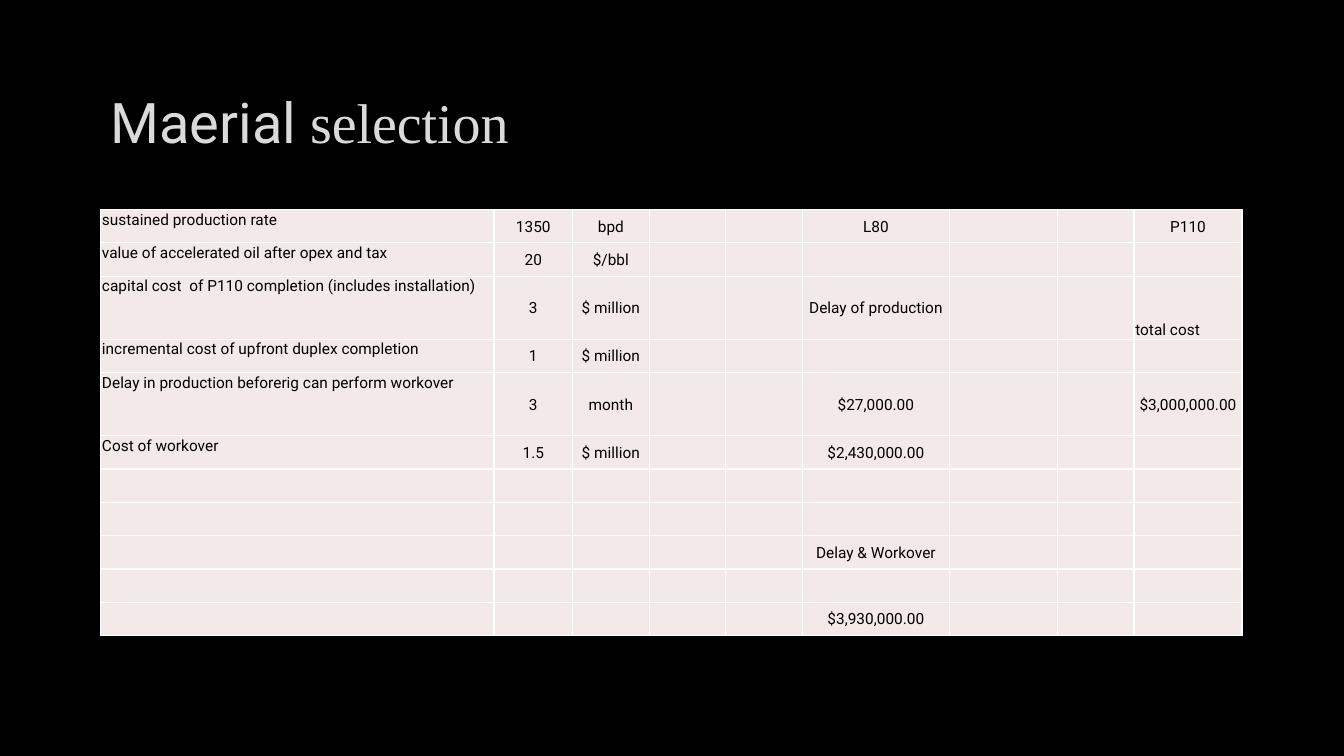
from lxml import etree
from pptx import Presentation
from pptx.dml.color import RGBColor
from pptx.enum.text import MSO_ANCHOR as ANCHOR, PP_ALIGN as ALIGN
from pptx.oxml.ns import qn
from pptx.util import Cm, Pt

# Content
TITLE = [("Maerial ", "Roboto"), ("selection", "Times New Roman")]
INPUTS = [
    ("sustained production rate", "1350", "bpd"),
    ("value of accelerated oil after opex and tax", "20", "$/bbl"),
    ("capital cost  of P110 completion (includes installation)", "3", "$ million"),
    ("incremental cost of upfront duplex completion", "1", "$ million"),
    ("Delay in production beforerig can perform workover", "3", "month"),
    ("Cost of workover", "1.5", "$ million"),
]
L80 = {0: "L80", 2: "Delay of production", 4: "$27,000.00",
       5: "$2,430,000.00", 8: "Delay & Workover", 10: "$3,930,000.00"}
P110 = {0: "P110", 2: "total cost", 4: "$3,000,000.00"}
L80_COL, P110_COL = 5, 8

# Style and sizes in centimetres
COLORS = {"background": "000000", "title": "DADADA", "text": "000000",
          "cell": "F3E9E8", "border": "FFFFFF"}
COL_WIDTHS = [9.91, 1.98, 1.93, 1.93, 1.93, 3.71, 2.72, 1.93, 2.72]
ROW_COUNT, ROW_HEIGHT, TALL_HEIGHT = 11, 0.84, 1.59
TALL_ROWS = (2, 4)
LEFT, WIDTH = 2.54, 28.76


def rgb(name):
    return RGBColor.from_string(COLORS[name])


def add_run(p, text, font, size, color):
    r = p.add_run()
    r.text = text
    r.font.name, r.font.size = font, Pt(size)
    r.font.color.rgb = rgb(color)


def set_borders(cell):
    tc_pr = cell._tc.get_or_add_tcPr()
    for i, side in enumerate(("lnL", "lnR", "lnT", "lnB")):
        ln = etree.Element(qn("a:" + side), w=str(Pt(1)))
        fill = etree.SubElement(ln, qn("a:solidFill"))
        etree.SubElement(fill, qn("a:srgbClr"), val=COLORS["border"])
        tc_pr.insert(i, ln)


def fill_cell(cell, text, align, anchor):
    cell.fill.solid()
    cell.fill.fore_color.rgb = rgb("cell")
    set_borders(cell)
    cell.margin_left = cell.margin_right = cell.margin_top = Cm(0.03)
    cell.margin_bottom = 0
    cell.vertical_anchor = anchor
    p = cell.text_frame.paragraphs[0]
    p.alignment = align
    if text:
        add_run(p, text, "Roboto", 11, "text")
    else:
        etree.SubElement(p._p, qn("a:endParaRPr"), sz="1100")


prs = Presentation()
prs.slide_width, prs.slide_height = Cm(33.87), Cm(19.05)
s = prs.slides.add_slide(prs.slide_layouts[6])
s.background.fill.solid()
s.background.fill.fore_color.rgb = rgb("background")

# Title
tf = s.shapes.add_textbox(Cm(LEFT), Cm(1.7), Cm(WIDTH), Cm(2.7)).text_frame
tf.word_wrap = True
tf.vertical_anchor = ANCHOR.MIDDLE
for text, font in TITLE:
    add_run(tf.paragraphs[0], text, font, 40, "title")

# Table
heights = [TALL_HEIGHT if i in TALL_ROWS else ROW_HEIGHT for i in range(ROW_COUNT)]
table = s.shapes.add_table(ROW_COUNT, len(COL_WIDTHS), Cm(LEFT), Cm(5.28),
                           Cm(WIDTH), Cm(sum(heights))).table
table.first_row = table.horz_banding = False
for column, width in zip(table.columns, COL_WIDTHS):
    column.width = Cm(width)
for row, height in zip(table.rows, heights):
    row.height = Cm(height)

# Cells: labels top left, figures centred, "total cost" bottom left
texts = {(i, j): text for i, line in enumerate(INPUTS) for j, text in enumerate(line)}
texts.update({(i, L80_COL): text for i, text in L80.items()})
texts.update({(i, P110_COL): text for i, text in P110.items()})
for i in range(ROW_COUNT):
    for j in range(len(COL_WIDTHS)):
        align, anchor = ALIGN.CENTER, ANCHOR.MIDDLE
        if j == 0:
            align, anchor = ALIGN.LEFT, ANCHOR.TOP
        elif (i, j) == (2, P110_COL):
            align, anchor = ALIGN.LEFT, ANCHOR.BOTTOM
        fill_cell(table.cell(i, j), texts.get((i, j)), align, anchor)

prs.save("out.pptx")
